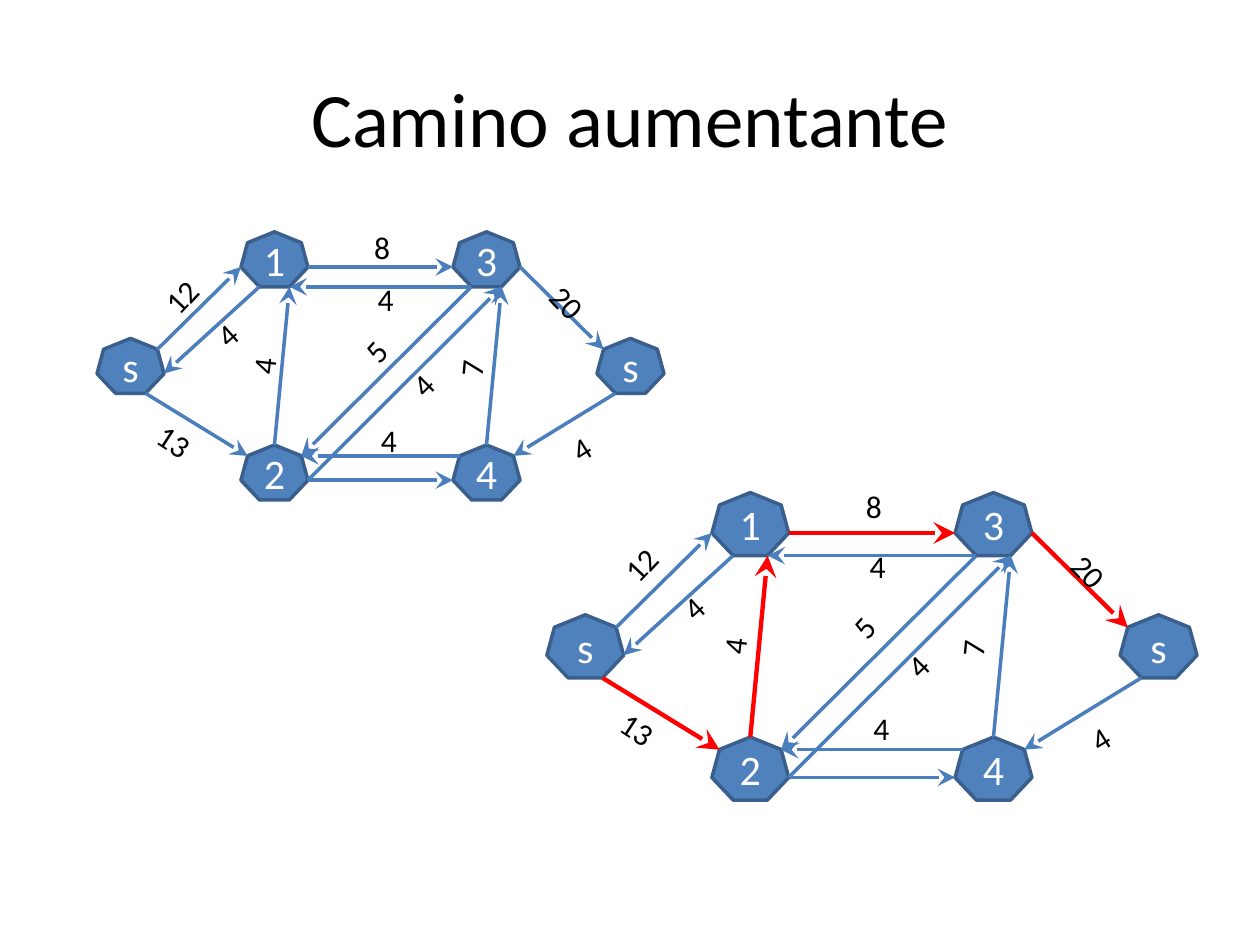
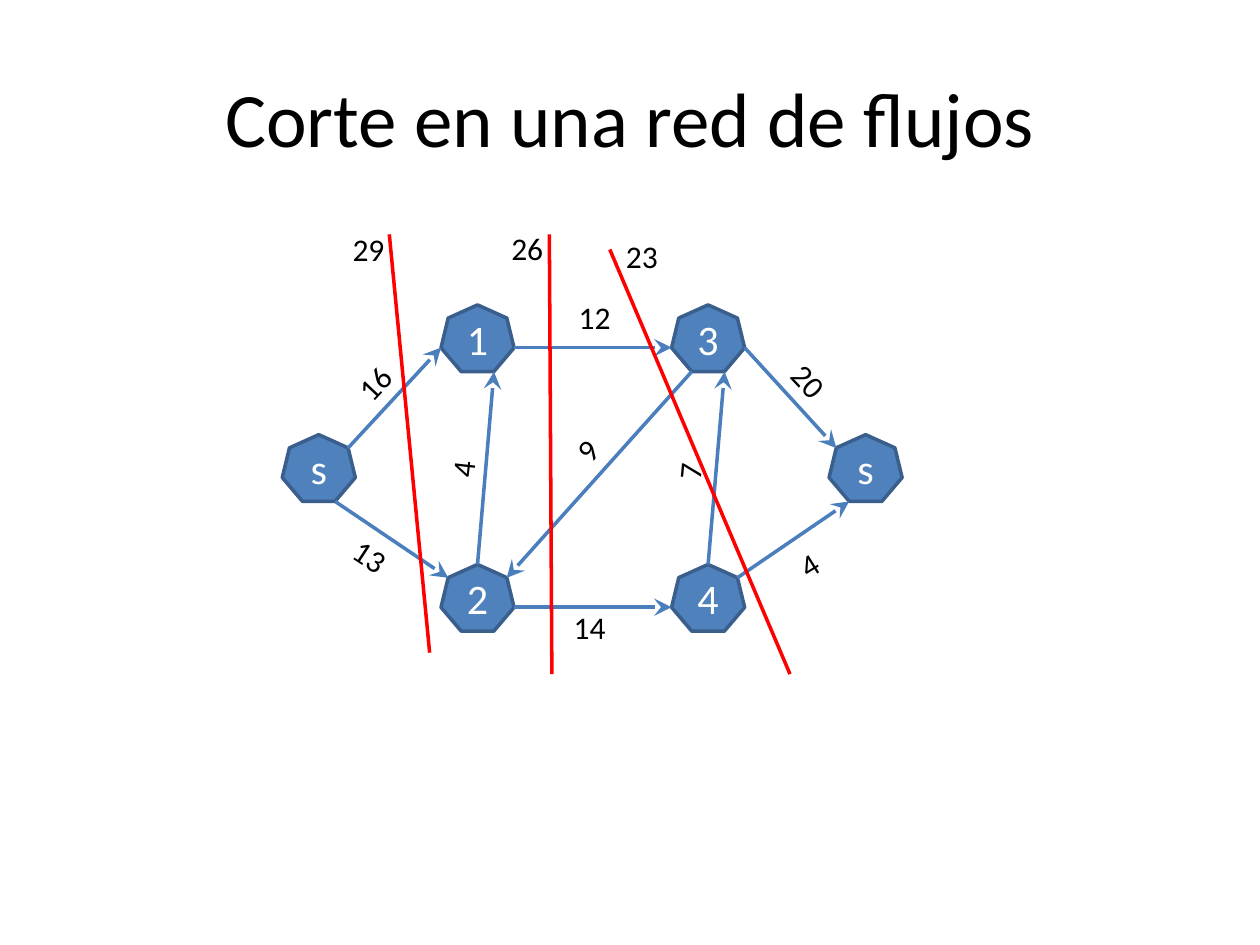
from dataclasses import dataclass
from typing import NamedTuple

from lxml import etree
from pptx import Presentation
from pptx.dml.color import RGBColor
from pptx.enum.shapes import MSO_CONNECTOR, MSO_SHAPE
from pptx.enum.text import MSO_ANCHOR, MSO_AUTO_SIZE, PP_ALIGN
from pptx.oxml.ns import qn
from pptx.shapes.shapetree import GroupShapes
from pptx.slide import Slide
from pptx.util import Emu, Pt

HEPTAGON = MSO_SHAPE.HEPTAGON
STRAIGHT = MSO_CONNECTOR.STRAIGHT
MIDDLE = MSO_ANCHOR.MIDDLE
TOP = MSO_ANCHOR.TOP
FIT_TEXT = MSO_AUTO_SIZE.SHAPE_TO_FIT_TEXT
CENTER = PP_ALIGN.CENTER
LEFT = PP_ALIGN.LEFT

# Shared style: 100 px to the inch
EMU_PER_PX = 9144
FONT = "Calibri"
BLACK = RGBColor(0x00, 0x00, 0x00)
WHITE = RGBColor(0xFF, 0xFF, 0xFF)
NODE_FILL = RGBColor(0x4F, 0x81, 0xBD)
NODE_LINE = RGBColor(0x3A, 0x5F, 0x8C)
EDGE_BLUE = RGBColor(0x4B, 0x7E, 0xBC)
RED = RGBColor(0xFF, 0x00, 0x00)

# Corners of a heptagon as fractions of its width and height
CORNERS = {
    "top": (0.5, 0), "upper right": (0.9, 0.2), "right": (1, 0.64),
    "lower right": (0.725, 1), "lower left": (0.275, 1),
    "left": (0, 0.64), "upper left": (0.1, 0.2),
}


class Node(NamedTuple):
    text: str
    column: int
    row: int


class Edge(NamedTuple):
    start: str
    start_corner: str
    end: str
    end_corner: str


class Label(NamedTuple):
    text: str
    left: int
    top: int
    width: int
    height: int
    rotation: float = 0


class Cut(NamedTuple):
    begin: tuple[int, int]
    end: tuple[int, int]
    label: Label


@dataclass(frozen=True)
class Graph:
    """A flow network; lengths are counted from its first column and row."""
    columns: tuple[int, ...]
    rows: tuple[int, ...]
    node_width: int
    node_height: int
    edges: list[Edge]
    labels: list[Label]


NODES = {
    "source": Node("s", 0, 1),
    "1": Node("1", 1, 0),
    "3": Node("3", 2, 0),
    "2": Node("2", 1, 2),
    "4": Node("4", 2, 2),
    "sink": Node("s", 3, 1),
}

# Edges that both networks have
COMMON_EDGES = [
    Edge("source", "upper right", "1", "left"),
    Edge("1", "right", "3", "left"),
    Edge("3", "lower left", "2", "upper right"),
    Edge("source", "lower right", "2", "upper left"),
    Edge("2", "top", "1", "lower right"),
    Edge("2", "right", "4", "left"),
    Edge("4", "top", "3", "lower right"),
    Edge("3", "right", "sink", "upper left"),
]
AUGMENTING_PATH = {("source", "2"), ("2", "1"), ("1", "3"), ("3", "sink")}

RESIDUAL = Graph(
    columns=(0, 131, 324, 455), rows=(0, 97, 194),
    node_width=61, node_height=50,
    edges=COMMON_EDGES + [
        Edge("sink", "lower left", "4", "upper right"),
        Edge("2", "right", "3", "lower right"),
        Edge("1", "lower left", "source", "right"),
        Edge("3", "lower left", "1", "lower right"),
        Edge("4", "upper left", "2", "upper right"),
    ],
    labels=[
        Label("4", 96, 101, 107, 42, 276.2),
        Label("7", 285, 103, 107, 42, 275.3),
        Label("13", 17, 168, 111, 38, 33.3),
        Label("12", 23, 36, 107, 46, 313.4),
        Label("5", 200, 86, 107, 46, 312.3),
        Label("8", 204, -9, 111, 46),
        Label("20", 376, 42, 107, 42, 46.8),
        Label("4", 383, 175, 111, 38, 328),
        Label("4", 60, 72, 111, 38, 318.1),
        Label("4", 207, 38, 111, 38),
        Label("4", 238, 118, 111, 38, 315.2),
        Label("4", 210, 167, 111, 38),
    ],
)

CAPACITY = Graph(
    columns=(0, 126, 309, 434), rows=(0, 103, 206),
    node_width=58, node_height=53,
    edges=COMMON_EDGES + [Edge("4", "upper right", "sink", "lower left")],
    labels=[
        Label("4", 86, 110, 114, 40, 276.2),
        Label("7", 266, 112, 114, 40, 275.3),
        Label("13", 17, 179, 106, 40, 33.3),
        Label("16", 16, 42, 114, 40, 313.4),
        Label("9", 185, 95, 114, 40, 312.3),
        Label("12", 195, -10, 106, 40),
        Label("14", 191, 236, 106, 40),
        Label("20", 361, 40, 114, 40, 46.8),
        Label("4", 365, 186, 106, 40, 328),
    ],
)

CUTS = [
    Cut((309, 186), (341, 518), Label("29", 270, 178, 57, 40)),
    Cut((436, 186), (438, 535), Label("26", 396, 177, 57, 40)),
    Cut((484, 198), (627, 535), Label("23", 487, 183, 57, 40)),
]


def px(length: float) -> Emu:
    return Emu(round(length * EMU_PER_PX))


def write(shape, text: str, size: int, color: RGBColor,
          align=CENTER, anchor=MIDDLE) -> None:
    frame = shape.text_frame
    frame.word_wrap = True
    frame.vertical_anchor = anchor
    paragraph = frame.paragraphs[0]
    paragraph.text = text
    paragraph.alignment = align
    paragraph.font.name = FONT
    paragraph.font.size = Pt(size)
    paragraph.font.color.rgb = color


def add_title(page: Slide, text: str) -> None:
    box = page.shapes.add_textbox(px(50), px(30), px(900), px(125))
    write(box, text, 44, BLACK)


def add_label(shapes, label: Label, left: float = 0, top: float = 0,
              scale: float = 1, align=CENTER) -> None:
    box = shapes.add_textbox(
        px(left + label.left * scale), px(top + label.top * scale),
        px(label.width * scale), px(label.height * scale))
    box.rotation = label.rotation
    write(box, label.text, 18, BLACK, align, TOP)
    box.text_frame.auto_size = FIT_TEXT


def add_line(shapes, begin: tuple[float, float], end: tuple[float, float],
             color: RGBColor, width: float = 2, arrow: bool = False) -> None:
    line = shapes.add_connector(STRAIGHT, *map(px, begin + end))
    line.line.color.rgb = color
    line.line.width = Pt(width)
    if arrow:
        tail = etree.SubElement(line.line._get_or_add_ln(), qn("a:tailEnd"))
        tail.set("type", "stealth")
        tail.set("w", "lg")
        tail.set("len", "lg")
    etree.SubElement(line._element.spPr, qn("a:effectLst"))


def add_node(shapes: GroupShapes, text: str, left: float, top: float,
             width: float, height: float) -> None:
    shape = shapes.add_shape(HEPTAGON, px(left), px(top), px(width), px(height))
    shape.shadow.inherit = False
    shape.fill.solid()
    shape.fill.fore_color.rgb = NODE_FILL
    shape.line.color.rgb = NODE_LINE
    shape.line.width = Pt(2)
    write(shape, text, 24, WHITE)


def add_graph(page: Slide, graph: Graph, left: int, top: int,
              scale: float = 1, highlight: frozenset | set = frozenset()) -> None:
    shapes = page.shapes.add_group_shape().shapes
    width, height = graph.node_width * scale, graph.node_height * scale
    places = {
        name: (left + graph.columns[node.column] * scale,
               top + graph.rows[node.row] * scale)
        for name, node in NODES.items()
    }

    def corner_point(name: str, corner: str) -> tuple[float, float]:
        across, down = CORNERS[corner]
        return places[name][0] + across * width, places[name][1] + down * height

    for name, node in NODES.items():
        add_node(shapes, node.text, *places[name], width, height)
    for edge in graph.edges:
        marked = (edge.start, edge.end) in highlight
        add_line(shapes, corner_point(edge.start, edge.start_corner),
                 corner_point(edge.end, edge.end_corner),
                 RED if marked else EDGE_BLUE, 2.5 if marked else 2, arrow=True)
    for label in graph.labels:
        add_label(shapes, label, left, top, scale)


def main() -> None:
    deck = Presentation()
    deck.slide_width, deck.slide_height = px(1000), px(750)
    blank = deck.slide_layouts[6]

    # Augmenting path: residual network with and without the path
    page = deck.slides.add_slide(blank)
    add_title(page, "Camino aumentante")
    add_graph(page, RESIDUAL, 434, 391, highlight=AUGMENTING_PATH)
    add_graph(page, RESIDUAL, 77, 184, scale=0.872)

    # Cuts through the flow network
    page = deck.slides.add_slide(blank)
    add_title(page, "Corte en una red de flujos")
    add_graph(page, CAPACITY, 224, 242)
    for cut in CUTS:
        add_line(page.shapes, cut.begin, cut.end, RED)
        add_label(page.shapes, cut.label, align=LEFT)

    deck.save("out.pptx")


if __name__ == "__main__":
    main()
